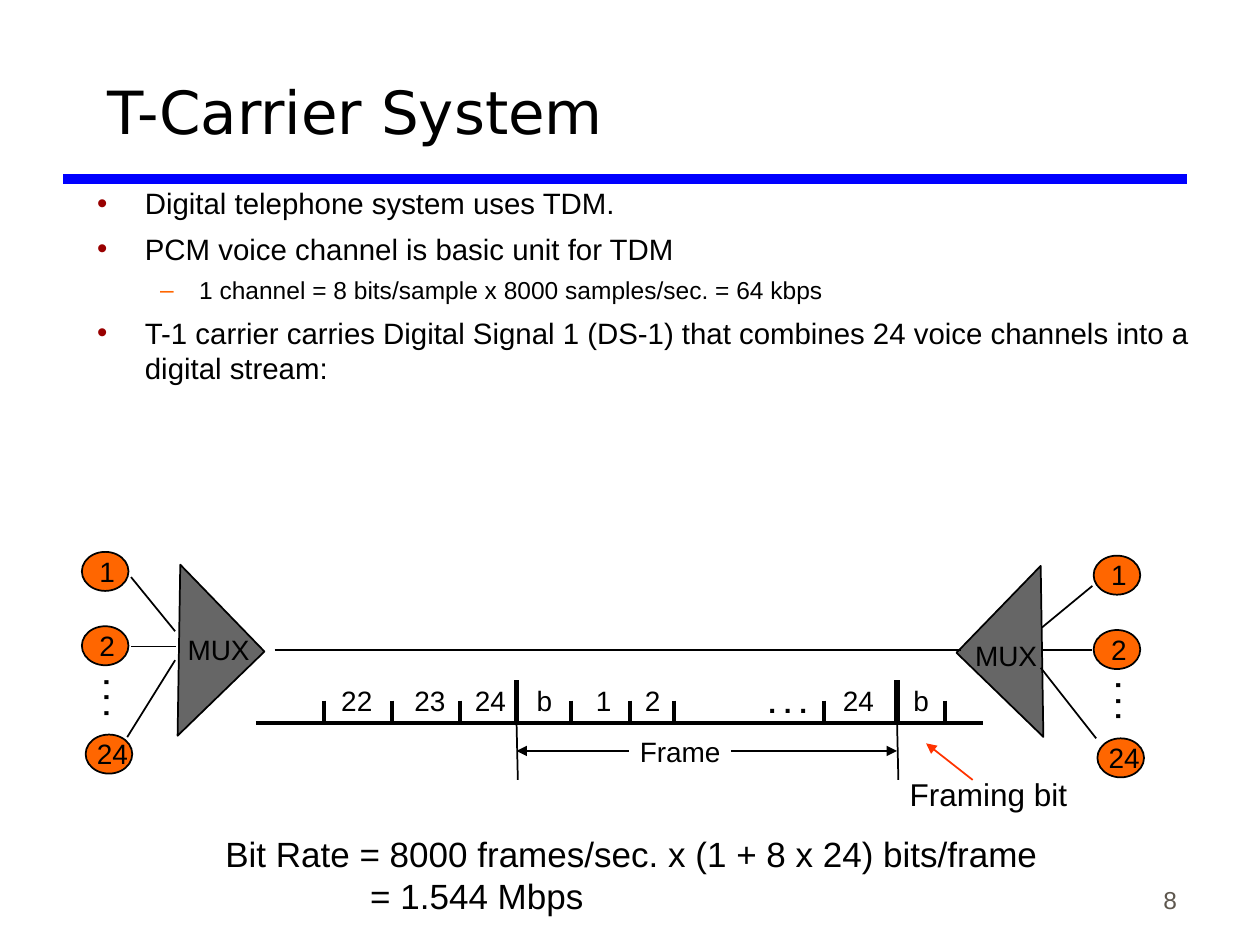
import dataclasses

import lxml.etree
import pptx
import pptx.dml.color
import pptx.enum.shapes
import pptx.enum.text
import pptx.oxml.ns
import pptx.util

Inches, Pt = pptx.util.Inches, pptx.util.Pt
Align = pptx.enum.text.PP_ALIGN
Anchor = pptx.enum.text.MSO_ANCHOR
Shape = pptx.enum.shapes.MSO_SHAPE


@dataclasses.dataclass(frozen=True)
class Theme:
    title_font: str = "DejaVu Sans"
    font: str = "Arial"
    ink: str = "000000"
    rule: str = "0000FF"
    channel: str = "FF6600"
    bullet: str = "990000"
    dash: str = "FF6600"
    pointer: str = "FF3300"
    number: str = "5E574E"
    title_size: float = 34
    body_size: float = 16.8
    small_size: float = 14
    label_size: float = 16
    note_size: float = 18
    formula_size: float = 20


@dataclasses.dataclass(frozen=True)
class Box:
    left: float
    top: float
    width: float = 0
    height: float = 0

    def inner(self, x, y, width=0, height=0):
        return Box(self.left + x, self.top + y, width, height)

    def lengths(self):
        return [Inches(v) for v in (self.left, self.top, self.width, self.height)]


THEME = Theme()


def rgb(code):
    return pptx.dml.color.RGBColor.from_string(code)


def add_xml(parent, tag, **attributes):
    return lxml.etree.SubElement(parent, pptx.oxml.ns.qn(tag), attributes)


def style(para, size, color=THEME.ink, font=THEME.font, bold=False):
    for span in para.runs:
        span.font.name, span.font.size, span.font.bold = font, Pt(size), bold
        span.font.color.rgb = rgb(color)


def add_text(page, box, text, size=THEME.label_size, color=THEME.ink, bold=False):
    item = page.shapes.add_textbox(*box.lengths())
    item.text_frame.word_wrap = False
    item.text_frame.text = text
    for para in item.text_frame.paragraphs:
        style(para, size, color, bold=bold)
    return item


def add_number(page, box, x, y, text):
    """Slot or channel number, in a box wide enough for its digits."""
    add_text(page, box.inner(x, y, 0.48 if len(text) > 1 else 0.32, 0.36), text)


def add_line(page, box, start, end, weight=1, color=THEME.ink, arrow=False):
    ends = [Inches(v) for x, y in (start, end) for v in (box.left + x, box.top + y)]
    line = page.shapes.add_connector(pptx.enum.shapes.MSO_CONNECTOR.STRAIGHT, *ends)
    line.line.width = Pt(weight)
    line.line.color.rgb = rgb(color)
    if arrow:
        add_xml(line.line._get_or_add_ln(), "a:tailEnd", type="triangle")
    add_xml(line._element.spPr, "a:effectLst")


def add_shape(page, kind, box, fill):
    shape = page.shapes.add_shape(kind, *box.lengths())
    shape.shadow.inherit = False
    shape.fill.solid()
    shape.fill.fore_color.rgb = rgb(fill)
    shape.line.color.rgb = rgb(THEME.ink)
    shape.line.width = Pt(1)
    return shape


def add_heading(page, box):
    """Title with the rule below it."""
    add_line(page, box, (-0.25, 1.17), (8.67, 1.17), 6, THEME.rule)
    title = page.shapes.title
    title.left, title.top, title.width, title.height = box.lengths()
    frame = title.text_frame
    frame.text = "T-Carrier System"
    frame.vertical_anchor = Anchor.MIDDLE
    frame.auto_size = pptx.enum.text.MSO_AUTO_SIZE.NONE
    frame.paragraphs[0].alignment = Align.LEFT
    style(frame.paragraphs[0], THEME.title_size, font=THEME.title_font)


def add_body(page, box):
    """Bulleted list in the body placeholder."""
    # level: left margin, hanging indent, space before, mark, mark colour, size
    levels = [
        (0.38, 0.38, 6, "•", THEME.bullet, THEME.body_size),
        (0.81, 0.31, 5, "–", THEME.dash, THEME.small_size),
    ]
    items = [
        (0, "Digital telephone system uses TDM."),
        (0, "PCM voice channel is basic unit for TDM"),
        (1, "1 channel = 8 bits/sample x 8000 samples/sec. = 64 kbps"),
        (0, "T-1 carrier carries Digital Signal 1 (DS-1) that combines "
            "24 voice channels into a digital stream:"),
    ]
    body = page.placeholders[1]
    body.left, body.top, body.width, body.height = box.lengths()
    frame = body.text_frame
    frame.auto_size = pptx.enum.text.MSO_AUTO_SIZE.NONE
    frame.text = "\n".join(text for _, text in items)
    for index, (para, (level, _)) in enumerate(zip(frame.paragraphs, items)):
        margin, hang, before, mark, color, size = levels[level]
        para.level = level
        props = para._p.get_or_add_pPr()
        props.set("marL", str(Inches(margin)))
        props.set("indent", str(-Inches(hang)))
        add_xml(add_xml(props, "a:buClr"), "a:srgbClr", val=color)
        add_xml(props, "a:buChar", char=mark)
        para.space_before = Pt(before if index else 0)
        style(para, size)


def add_channels(page, box):
    """Column of numbered channels with dots before the last."""
    for text, x, y, label_x in (("1", 0, 0, 0.04), ("2", 0, 0.59, 0.04), ("24", 0.03, 1.45, 0.02)):
        add_shape(page, Shape.OVAL, box.inner(x, y + 0.03, 0.37, 0.31), THEME.channel)
        add_number(page, box, label_x, y, text)
    dots = add_text(page, box.inner(0, 0.87, 0.51, 0.63), ". . .", bold=True)
    dots.rotation = 270


def add_mux(page, box, wires, channel_x, triangle, rotation, label):
    """Multiplexer triangle wired to its column of channels."""
    add_channels(page, box.inner(channel_x, 0))
    for start, end in wires:
        add_line(page, box, start, end)
    shape = add_shape(page, Shape.RIGHT_TRIANGLE, box.inner(*triangle, 0.96, 0.96), THEME.ink)
    shape.rotation = rotation
    fill = shape._element.spPr.find(".//" + pptx.oxml.ns.qn("a:srgbClr"))
    add_xml(fill, "a:alpha", val="60000")
    add_text(page, box.inner(*label, 0.72, 0.36), "MUX")


def add_frame(page, box):
    """Time line of slots, with one frame marked below it."""
    base = 0.37
    edges = (2.07, 5.09)
    add_line(page, box, (0, base), (box.width, base), 2)
    for x in (0.54, 1.08, 1.62, 2.5, 2.97, 3.32, 4.51, 5.47):
        add_line(page, box, (x, 0.19), (x, base - 0.01), 2)
    for x in edges:
        add_line(page, box, (x, 0.03), (x, base), 3)
        add_line(page, box, (x, base), (x + 0.01, 0.82))
    slots = [("22", 0.58), ("23", 1.16), ("24", 1.64), ("b", 2.13), ("1", 2.6),
             ("2", 2.99), ("24", 4.56), ("b", 5.12)]
    for text, x in slots:
        add_number(page, box, x, 0.01, text)
    add_text(page, box.inner(3.97, 0.02, 0.51, 0.63), ". . .", bold=True)
    add_text(page, box.inner(2.95, 0.41, 0.86, 0.36), "Frame")
    for start, end in zip((2.96, 3.77), edges):
        add_line(page, box, (start, 0.59), (end, 0.59), arrow=True)


def add_framing_note(page, box):
    """Caption pointing at the framing bit."""
    note = add_text(page, box, "Framing bit", THEME.note_size)
    note.text_frame.paragraphs[0].alignment = Align.CENTER
    add_line(page, box, (0.6, 0.09), (0.23, -0.2), color=THEME.pointer, arrow=True)


def add_formula(page, box):
    """Bit rate on two lines, the second indented."""
    text = "Bit Rate = 8000 frames/sec. x (1 + 8 x 24) bits/frame\n= 1.544 Mbps"
    formula = add_text(page, box, text, THEME.formula_size)
    result = formula.text_frame.paragraphs[1]
    result._p.get_or_add_pPr().set("marL", str(Inches(1.15)))


def add_page_number(page, box):
    number = add_text(page, box, "8", THEME.small_size, THEME.number)
    number.text_frame.word_wrap = True
    number.text_frame.vertical_anchor = Anchor.BOTTOM
    number.text_frame.paragraphs[0].alignment = Align.RIGHT


def main():
    deck = pptx.Presentation()
    deck.slide_width, deck.slide_height = Inches(10), Inches(7.5)
    page = deck.slides.add_slide(deck.slide_layouts[1])
    add_heading(page, Box(0.75, 0.25, 8.5, 1.25))
    add_body(page, Box(0.67, 1.42, 9.07, 1.76))
    add_formula(page, Box(1.69, 6.56, 6.8, 0.76))
    # Trunk line between the multiplexers
    add_line(page, Box(2.18, 5.16), (0, 0), (5.45, 0))
    left_wires = [((0.39, 0.23), (0.74, 0.66)), ((0.39, 0.78), (0.75, 0.78)),
                  ((0.36, 1.5), (0.74, 0.89))]
    right_wires = [((0.63, 0.6), (1.03, 0.27)), ((0.62, 0.78), (1.03, 0.78)),
                   ((0.62, 0.92), (1.06, 1.48))]
    add_mux(page, Box(0.65, 4.35), left_wires, 0, (0.29, 0.33), 225.9, (0.74, 0.62))
    add_mux(page, Box(7.64, 4.38), right_wires, 1.04, (0.15, 0.31), 44.1, (0, 0.64))
    add_frame(page, Box(2.03, 5.37, 5.77, 0.82))
    add_framing_note(page, Box(7.12, 6.1, 1.45, 0.4))
    add_page_number(page, Box(7.36, 6.81, 2.08, 0.5))
    deck.save("out.pptx")


if __name__ == "__main__":
    main()
